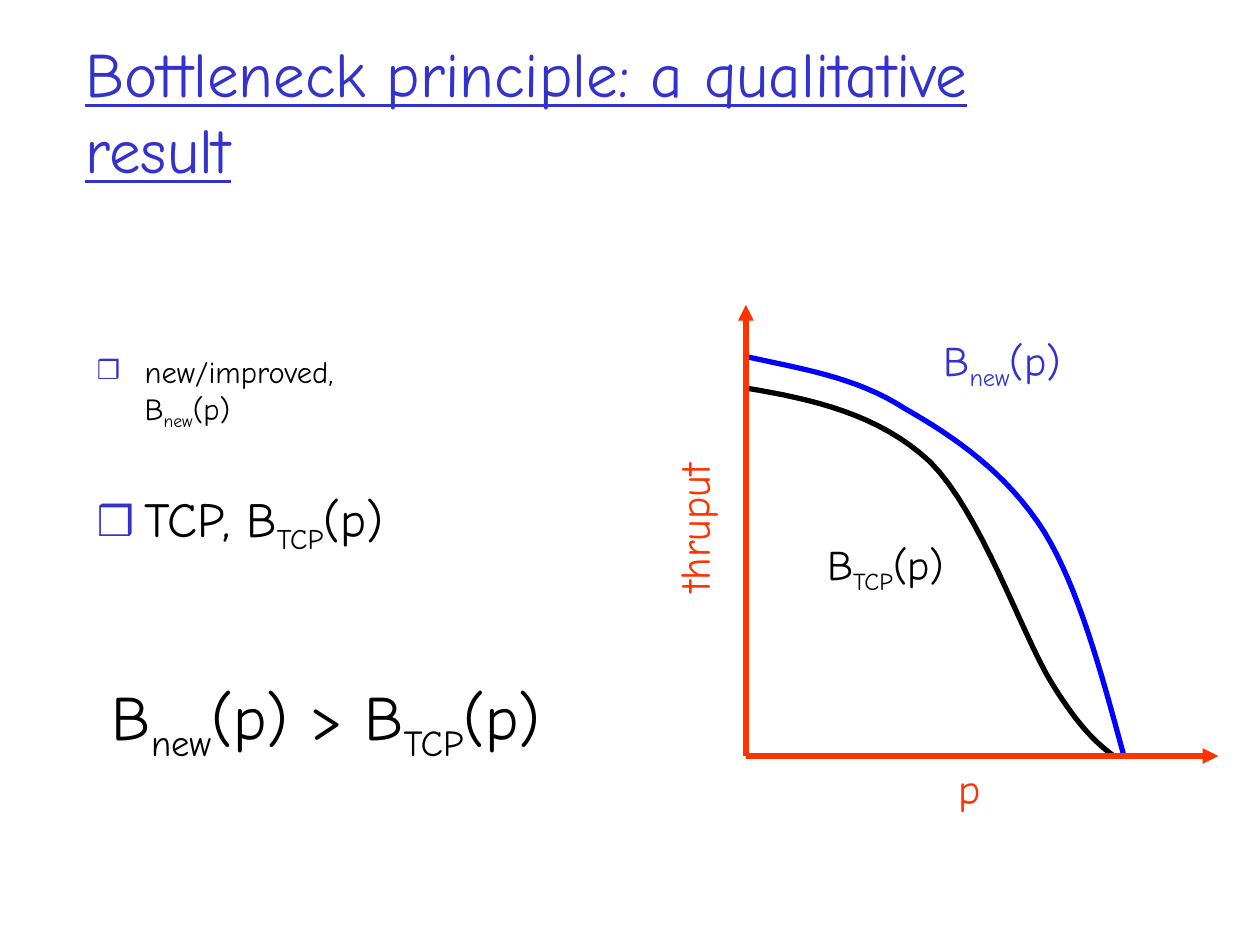
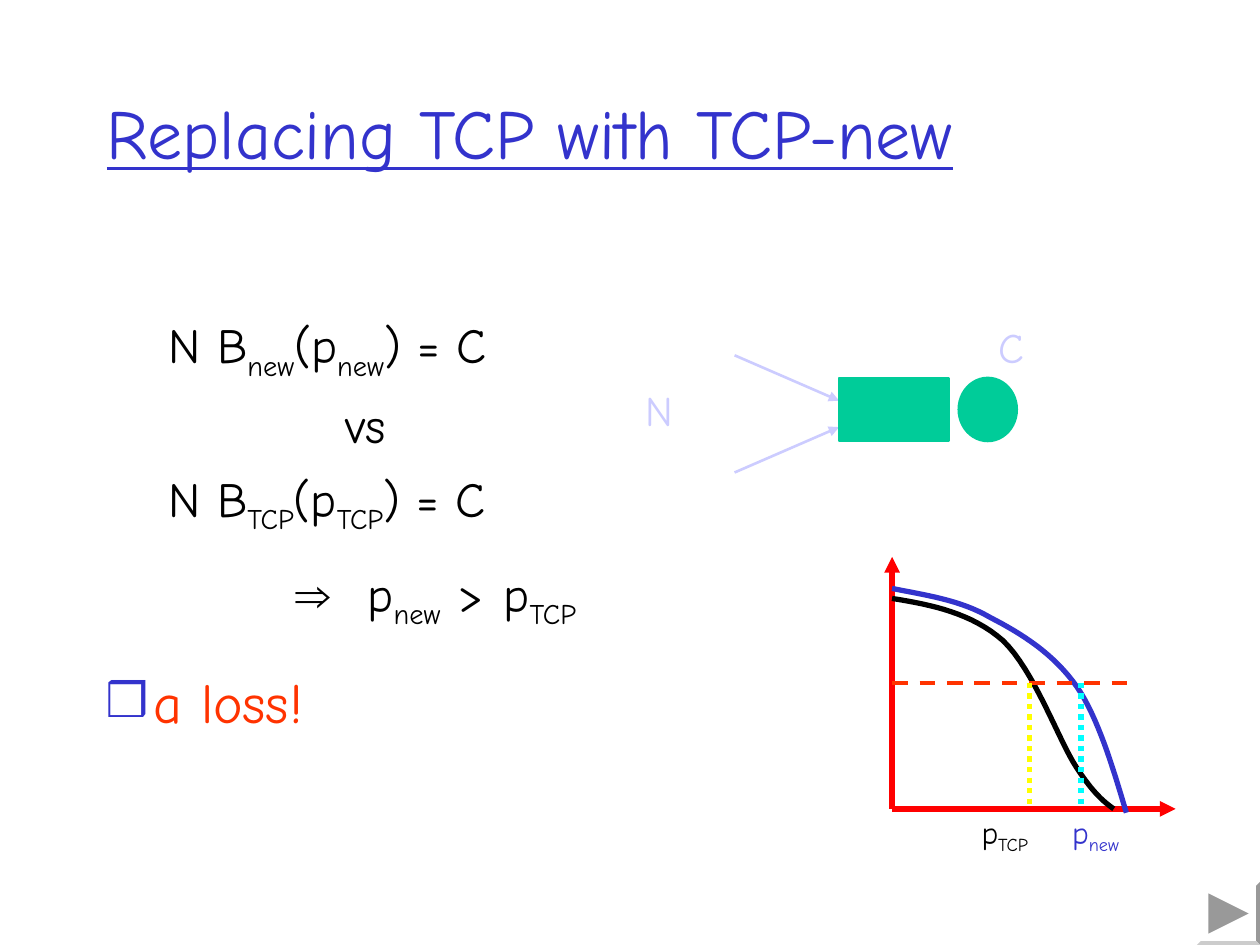
from lxml import etree
from pptx import Presentation
from pptx.dml.color import RGBColor
from pptx.enum.dml import MSO_LINE
from pptx.enum.shapes import MSO_CONNECTOR, MSO_SHAPE
from pptx.enum.text import MSO_ANCHOR, PP_ALIGN
from pptx.oxml.ns import qn
from pptx.util import Inches, Pt

STRAIGHT = MSO_CONNECTOR.STRAIGHT
RECTANGLE = MSO_SHAPE.RECTANGLE
ELLIPSE = MSO_SHAPE.OVAL
DASH = MSO_LINE.DASH
DOT = MSO_LINE.ROUND_DOT
TOP = MSO_ANCHOR.TOP
MIDDLE = MSO_ANCHOR.MIDDLE
LEFT = PP_ALIGN.LEFT
CENTER = PP_ALIGN.CENTER

FONT = "Comic Neue"
SYMBOL_FONT = "Arial"
SYMBOLS = ("⇒",)
BULLET = "❒"
BULLET_INDENT = 0.38
LABEL_MARGIN = 0.2
COLORS = {
    "title": "3333CC",
    "text": "000000",
    "accent": "FF3300",
    "axis": "FF0000",
    "new": "0000FF",
    "pale": "CCCCFF",
    "server": "00CC99",
    "tcp_loss": "FFFF00",
    "new_loss": "00FFFF",
    "button_dark": "999999",
    "button_light": "CCCCCC",
}

NEW_CURVE = [(0, 0), (0.14, 0.03), (0.29, 0.05), (0.42, 0.13), (0.55, 0.2),
             (0.69, 0.29), (0.79, 0.44), (0.88, 0.58), (0.94, 0.79), (1, 1)]
TCP_CURVE = [(0, 0), (0.18, 0.03), (0.36, 0.07), (0.5, 0.2), (0.64, 0.34),
             (0.75, 0.67), (0.83, 0.8), (0.91, 0.93), (0.96, 0.97), (1, 1)]
CURVE_STEPS = 16


def color(name):
    return RGBColor.from_string(COLORS[name])


def add_bullet(paragraph):
    properties = paragraph._p.get_or_add_pPr()
    properties.set("marL", str(Inches(BULLET_INDENT)))
    properties.set("indent", str(-Inches(BULLET_INDENT)))
    bullet_color = etree.SubElement(properties, qn("a:buClr"))
    etree.SubElement(bullet_color, qn("a:srgbClr"), val=COLORS["title"])
    etree.SubElement(properties, qn("a:buSzPct"), val="85000")
    etree.SubElement(properties, qn("a:buFont"), typeface=SYMBOL_FONT)
    etree.SubElement(properties, qn("a:buChar"), char=BULLET)


def add_tabs(paragraph, positions):
    tab_list = etree.SubElement(paragraph._p.get_or_add_pPr(), qn("a:tabLst"))
    for position in positions:
        etree.SubElement(tab_list, qn("a:tab"), pos=str(Inches(position)), algn="l")


def add_run(paragraph, text, subscript):
    run = paragraph.add_run()
    run.text = text
    if text in SYMBOLS:
        run.font.name = SYMBOL_FONT
        run.font.bold = True
    if subscript:
        run._r.get_or_add_rPr().set("baseline", "-25000")


def add_text(slide, text, left, top, width, height, size=28, ink="text",
             align=LEFT, anchor=TOP, wrap=True, bullet=False, underline=False,
             tabs=(), rotation=0):
    """Square brackets in the text mark subscripts."""
    box = slide.shapes.add_textbox(Inches(left), Inches(top), Inches(width), Inches(height))
    box.rotation = rotation
    frame = box.text_frame
    frame.word_wrap = wrap
    frame.vertical_anchor = anchor
    paragraph = frame.paragraphs[0]
    paragraph.alignment = align
    if bullet:
        add_bullet(paragraph)
    if tabs:
        add_tabs(paragraph, tabs)
    for line_number, line in enumerate(text.split("\n")):
        if line_number:
            paragraph.add_line_break()
        for index, part in enumerate(line.replace("]", "[").split("[")):
            if part:
                add_run(paragraph, part, subscript=index % 2 == 1)
    for run in paragraph.runs:
        run.font.name = run.font.name or FONT
        run.font.size = Pt(size)
        run.font.underline = underline
        run.font.color.rgb = color(ink)


def add_title(slide, text, left, top, size):
    add_text(slide, text, left, top, 8.5, 1.25, size=size, ink="title",
             anchor=MIDDLE, underline=True)


def add_label(slide, text, left, top, width, height, size=24, ink="text", rotation=0):
    add_text(slide, text, left - LABEL_MARGIN, top, width + 2 * LABEL_MARGIN, height,
             size=size, ink=ink, align=CENTER, anchor=MIDDLE, wrap=False, rotation=rotation)


def add_line(slide, start, end, ink, width=3, dash=None, arrow=False):
    points = [Inches(value) for value in (*start, *end)]
    connector = slide.shapes.add_connector(STRAIGHT, *points)
    connector.line.color.rgb = color(ink)
    connector.line.width = Pt(width)
    if dash:
        connector.line.dash_style = dash
    properties = connector._element.spPr
    if arrow:
        etree.SubElement(properties.find(qn("a:ln")), qn("a:tailEnd"), type="triangle")
    etree.SubElement(properties, qn("a:effectLst"))


def add_axes(slide, origin, top, right, ink):
    add_line(slide, origin, (origin[0], top), ink, arrow=True)
    add_line(slide, origin, (right, origin[1]), ink, arrow=True)


def add_outline(slide, points, close):
    start, *rest = [(Inches(x), Inches(y)) for x, y in points]
    builder = slide.shapes.build_freeform(*start)
    builder.add_line_segments(rest, close=close)
    shape = builder.convert_to_shape()
    shape.shadow.inherit = False
    return shape


def fill_solid(shape, ink):
    shape.fill.solid()
    shape.fill.fore_color.rgb = color(ink)


def add_polygon(slide, points, ink):
    shape = add_outline(slide, points, close=True)
    fill_solid(shape, ink)
    shape.line.fill.background()


def bezier_point(controls, t):
    weights = ((1 - t) ** 3, 3 * t * (1 - t) ** 2, 3 * t ** 2 * (1 - t), t ** 3)
    return [sum(weight * control[axis] for weight, control in zip(weights, controls))
            for axis in (0, 1)]


def add_curve(slide, curve, left, top, width, height, ink):
    points = [(left, top)]
    for first in range(0, len(curve) - 1, 3):
        for step in range(1, CURVE_STEPS + 1):
            x, y = bezier_point(curve[first:first + 4], step / CURVE_STEPS)
            points.append((left + x * width, top + y * height))
    shape = add_outline(slide, points, close=False)
    shape.fill.background()
    shape.line.color.rgb = color(ink)
    shape.line.width = Pt(3)


def add_solid(slide, kind, left, top, width, height, ink):
    shape = slide.shapes.add_shape(kind, Inches(left), Inches(top),
                                   Inches(width), Inches(height))
    shape.shadow.inherit = False
    fill_solid(shape, ink)
    shape.line.color.rgb = color(ink)
    shape.line.width = Pt(1.5)


def add_forward_button(slide):
    right_edge = [(10, 7), (10, 7.5), (9.97, 7.47), (9.97, 7.03)]
    bottom_edge = [(10, 7.5), (9.5, 7.5), (9.53, 7.47), (9.97, 7.47)]
    arrow = [(9.59, 7.09), (9.91, 7.25), (9.59, 7.41)]
    add_polygon(slide, right_edge, "button_dark")
    add_polygon(slide, bottom_edge, "button_light")
    add_polygon(slide, arrow, "button_dark")


def build_principle_slide(slide):
    add_title(slide, "Bottleneck principle: a qualitative result", 0.58, 0.25, 36)
    add_text(slide, "new/improved,\nB[new](p)", 0.67, 2.75, 5, 0.75, size=17.5, bullet=True)
    add_text(slide, "TCP, B[TCP](p)", 0.67, 3.83, 5, 0.67, bullet=True)
    add_text(slide, "B[new](p) > B[TCP](p)", 0.79, 5.33, 4.62, 0.92, size=36)

    origin = (5.92, 6)
    add_curve(slide, NEW_CURVE, origin[0], 2.83, 3, 3.17, "new")
    add_label(slide, "B[new](p)", 7.39, 2.6, 1.13, 0.56, ink="title")
    add_curve(slide, TCP_CURVE, origin[0], 3.08, 2.92, 2.92, "text")
    add_label(slide, "B[TCP](p)", 6.46, 4.22, 1.14, 0.56)
    add_axes(slide, origin, 2.42, 9.67, "accent")
    add_label(slide, "p", 7.51, 6, 0.37, 0.5, ink="accent")
    add_label(slide, "thruput", 4.89, 3.94, 1.22, 0.5, ink="accent", rotation=270)


def build_replacement_slide(slide):
    add_title(slide, "Replacing TCP with TCP-new", 0.75, 0.42, 40)

    for start_y, end_y in ((2.82, 3.18), (3.75, 3.39)):
        add_line(slide, (5.83, start_y), (6.66, end_y), "pale", width=1.5, arrow=True)
    add_label(slide, "N", 5.02, 3, 0.42, 0.5, ink="pale")
    add_label(slide, "C", 7.83, 2.5, 0.4, 0.5, ink="pale")
    add_solid(slide, RECTANGLE, 6.66, 3, 0.87, 0.5, "server")
    add_solid(slide, ELLIPSE, 7.61, 3, 0.46, 0.5, "server")

    origin = (7.08, 6.42)
    capacity_y = 5.42
    add_axes(slide, origin, 4.42, 9.33, "axis")
    add_curve(slide, NEW_CURVE, origin[0], 4.67, 1.86, 1.78, "title")
    add_curve(slide, TCP_CURVE, origin[0], 4.75, 1.76, 1.67, "text")
    add_line(slide, (origin[0], capacity_y), (9, capacity_y), "accent", width=2.25, dash=DASH)

    add_text(slide, "N B[new](p[new]) = C", 1.24, 2.45, 4, 0.6)
    add_text(slide, "vs", 2.64, 3.08, 1, 0.6)
    add_text(slide, "N B[TCP](p[TCP]) = C", 1.24, 3.67, 4, 0.6)
    add_text(slide, "⇒[]\tp[new]\t>\tp[TCP]", 2.25, 4.42, 4, 0.67, tabs=(0.57, 1.28, 1.65))
    add_text(slide, "a loss!", 0.74, 5.25, 6, 1.33, size=32, ink="accent", bullet=True)

    losses = (
        ("p[TCP]", 8.17, 7.53, "tcp_loss", "text"),
        ("p[new]", 8.58, 8.25, "new_loss", "title"),
    )
    for label, x, label_left, line_ink, label_ink in losses:
        add_line(slide, (x, capacity_y), (x, origin[1]), line_ink, dash=DOT)
        add_label(slide, label, label_left, 6.4, 0.89, 0.44, size=18, ink=label_ink)
    add_forward_button(slide)


def main():
    presentation = Presentation()
    presentation.slide_width = Inches(10)
    presentation.slide_height = Inches(7.5)
    blank_layout = presentation.slide_layouts[6]
    for build_slide in (build_principle_slide, build_replacement_slide):
        build_slide(presentation.slides.add_slide(blank_layout))
    presentation.save("out.pptx")


if __name__ == "__main__":
    main()
